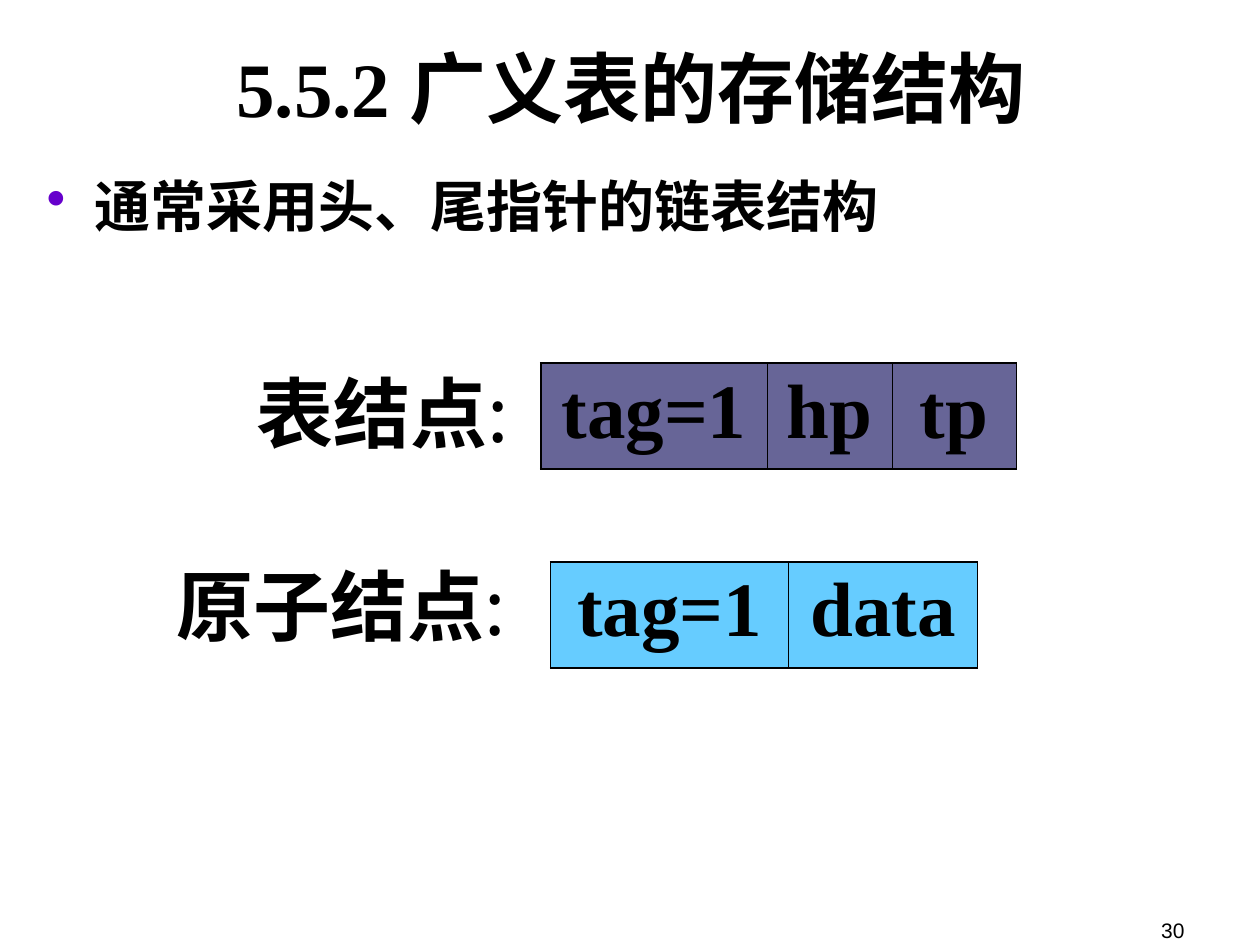
import pptx
import pptx.dml.color
import pptx.enum.text
import pptx.oxml
import pptx.oxml.ns
import pptx.util
from pptx.util import Cm

COLORS = {"text": "000000", "bullet": "6600CC", "list_node": "676597",
          "atom_node": "66CCFF", "border": "000000"}
SERIF, CJK, SANS = "Times New Roman", "Noto Sans CJK SC", "Arial"
ALIGN = pptx.enum.text.PP_ALIGN
ANCHOR = pptx.enum.text.MSO_ANCHOR
THICK, THIN = 1.08, 0.45


def rgb(key):
    return pptx.dml.color.RGBColor.from_string(COLORS[key])


def element(xml):
    namespace = pptx.oxml.ns.nsdecls("a")
    return pptx.oxml.parse_xml(xml.replace("NS", namespace, 1))


class SlideBuilder:
    def __init__(self, slide):
        self.slide = slide

    def add_runs(self, paragraph, runs, size, align):
        """Add (text, font, bold) runs to a paragraph."""
        paragraph.alignment = align
        for text, font, bold in runs:
            run = paragraph.add_run()
            run.text = text
            values = {"name": font, "size": pptx.util.Pt(size), "bold": bold}
            for key, value in values.items():
                setattr(run.font, key, value)
            run.font.color.rgb = rgb("text")
            run.font._element.append(element(f'<a:ea NS typeface="{CJK}"/>'))

    def title(self, text, left, top, width, height):
        title = self.slide.shapes.title
        box = {"left": left, "top": top, "width": width, "height": height}
        for key, value in box.items():
            setattr(title, key, Cm(value))
        title.text_frame.vertical_anchor = ANCHOR.MIDDLE
        self.add_runs(title.text_frame.paragraphs[0], [(text, SERIF, True)], 44, ALIGN.CENTER)

    def text(self, runs, left, top, width, height, size=44, align=ALIGN.CENTER,
             anchor=ANCHOR.TOP, wrap=True, bullet=False):
        box = self.slide.shapes.add_textbox(Cm(left), Cm(top), Cm(width), Cm(height))
        frame = box.text_frame
        for key, value in {"word_wrap": wrap, "vertical_anchor": anchor}.items():
            setattr(frame, key, value)
        paragraph = frame.paragraphs[0]
        if bullet:
            properties = paragraph._p.get_or_add_pPr()
            indent = Cm(0.96)
            properties.set("marL", str(indent))
            properties.set("indent", str(-indent))
            properties.append(element(
                f'<a:buClr NS><a:srgbClr val="{COLORS["bullet"]}"/></a:buClr>'))
            properties.append(element('<a:buChar NS char="•"/>'))
        self.add_runs(paragraph, runs, size, align)

    def border(self, cell, side, width):
        cell._tc.get_or_add_tcPr().append(element(
            f'<a:ln{side} NS w="{pptx.util.Pt(width)}"><a:solidFill>'
            f'<a:srgbClr val="{COLORS["border"]}"/></a:solidFill></a:ln{side}>'))

    def node(self, fields, left, top, fill, right_edge):
        """Draw a node as a one-row table of (field, width) pairs."""
        height = Cm(2.13)
        total = Cm(sum(width for _, width in fields))
        frame = self.slide.shapes.add_table(1, len(fields), Cm(left), Cm(top), total, height)
        table = frame.table
        table.first_row = table.horz_banding = False
        last = len(fields) - 1
        for i, (field, width) in enumerate(fields):
            table.columns[i].width = Cm(width)
            cell = table.cell(0, i)
            sides = {"L": THIN if i else THICK, "R": right_edge if i == last else THIN,
                     "T": THICK, "B": THICK}
            for side, line in sides.items():
                self.border(cell, side, line)
            cell.fill.solid()
            cell.fill.fore_color.rgb = rgb(fill)
            self.add_runs(cell.text_frame.paragraphs[0], [(field, SERIF, True)], 44, ALIGN.CENTER)


def main():
    presentation = pptx.Presentation()
    presentation.slide_width, presentation.slide_height = Cm(25.4), Cm(19.05)
    builder = SlideBuilder(presentation.slides.add_slide(presentation.slide_layouts[5]))

    # Heading and statement
    builder.title("5.5.2 广义表的存储结构", 1.3, 0.33, 22.86, 2.84)
    builder.text([("通常采用头、尾指针的链表结构", SERIF, True)], 0.69, 3.33, 24, 14.4,
                 size=32, align=ALIGN.LEFT, bullet=True)

    # Node labels
    labels = [("表结点", 4.47, 7.24, 6.48), ("原子结点", 2.87, 11.13, 8.03)]
    for label, left, top, width in labels:
        builder.text([(label, CJK, True), (":", CJK, False)], left, top, width, 2.13, wrap=False)

    # Node structures
    builder.node([("tag=1", 4.57), ("hp", 2.51), ("tp", 2.51)], 10.9, 7.32, "list_node", THICK)
    builder.node([("tag=1", 4.8), ("data", 3.81)], 11.1, 11.33, "atom_node", THIN)

    # Page number
    builder.text([("30", SANS, False)], 18.21, 17.86, 5.92, 1.27,
                 size=12, align=ALIGN.RIGHT, anchor=ANCHOR.BOTTOM)

    presentation.save("out.pptx")


if __name__ == "__main__":
    main()
